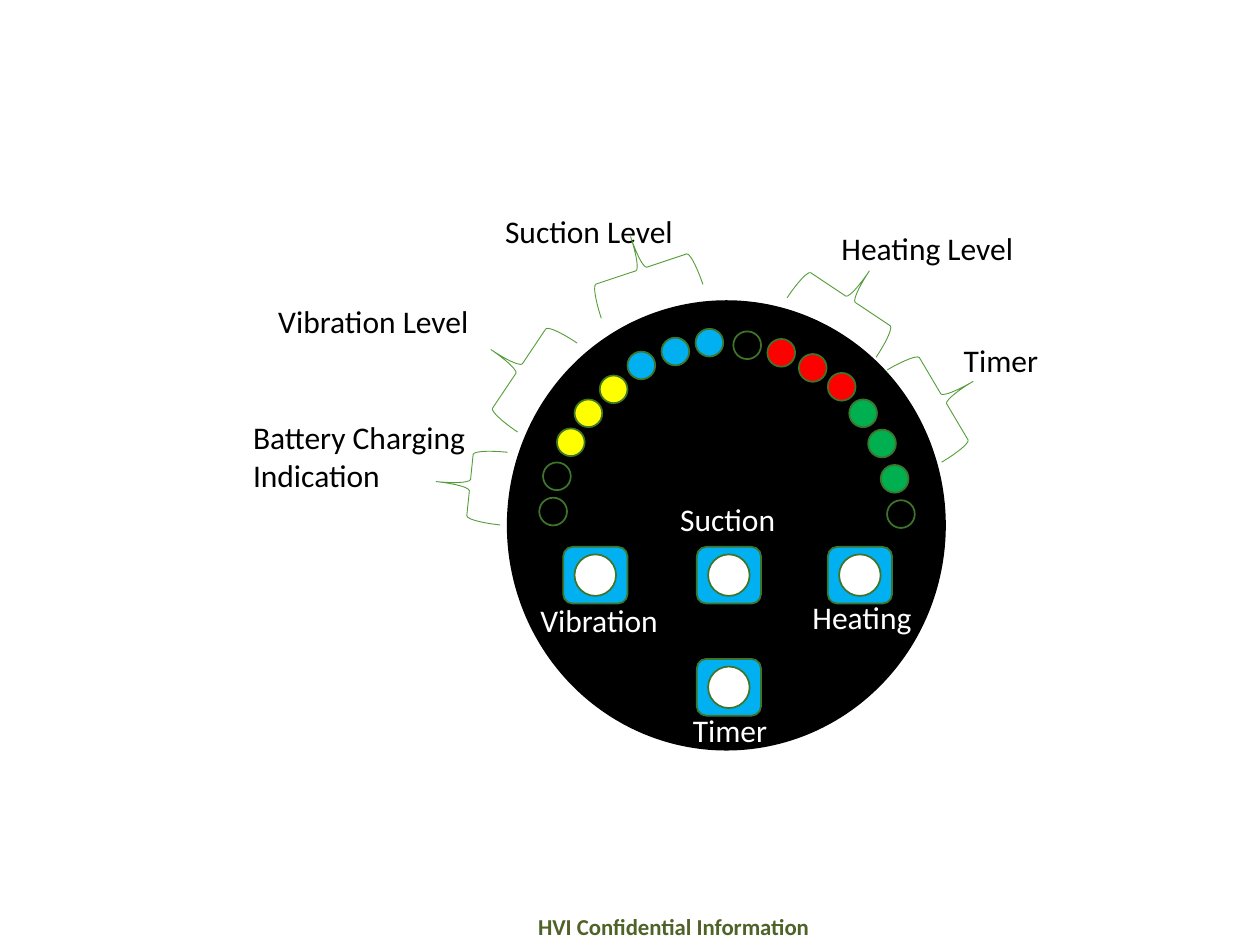
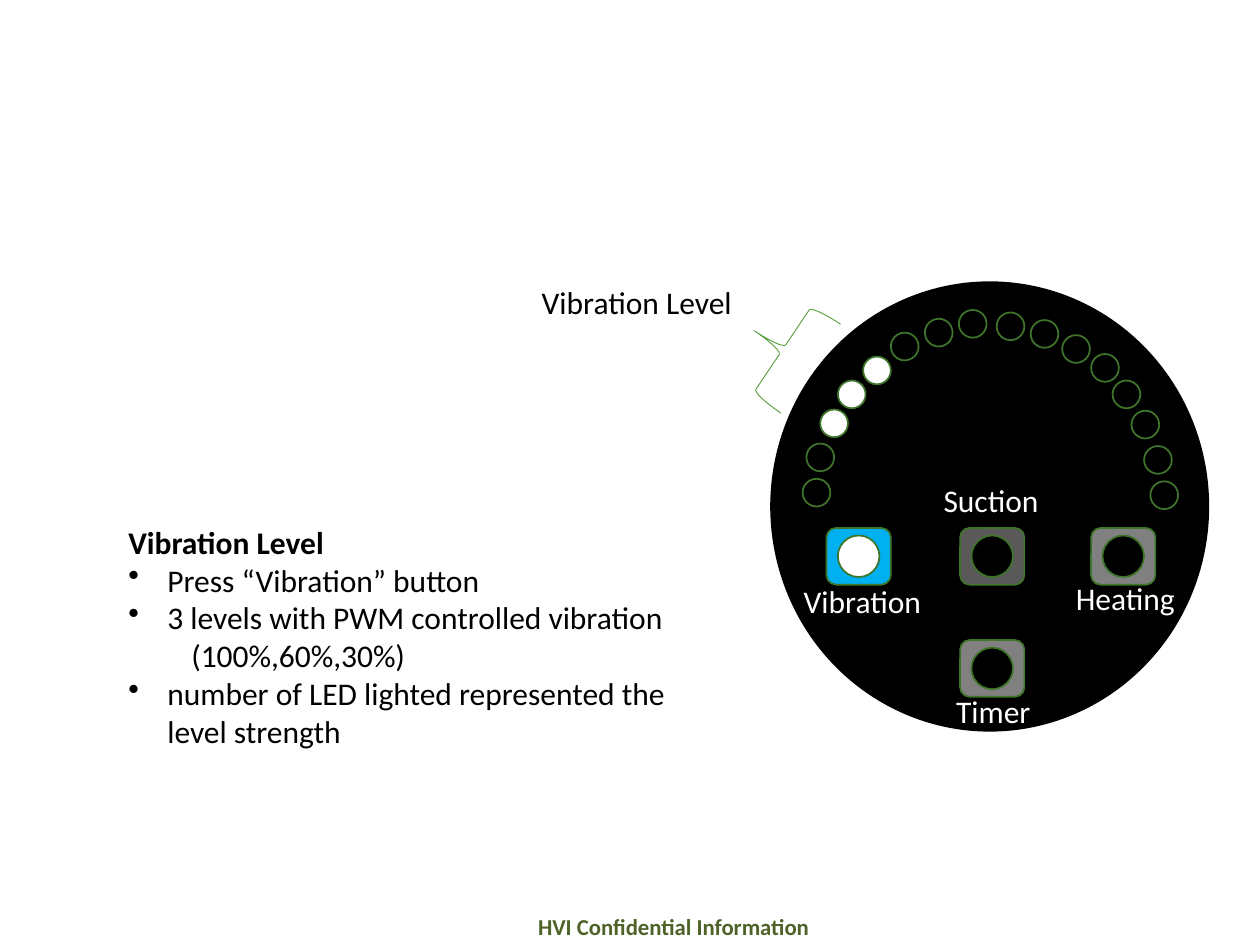
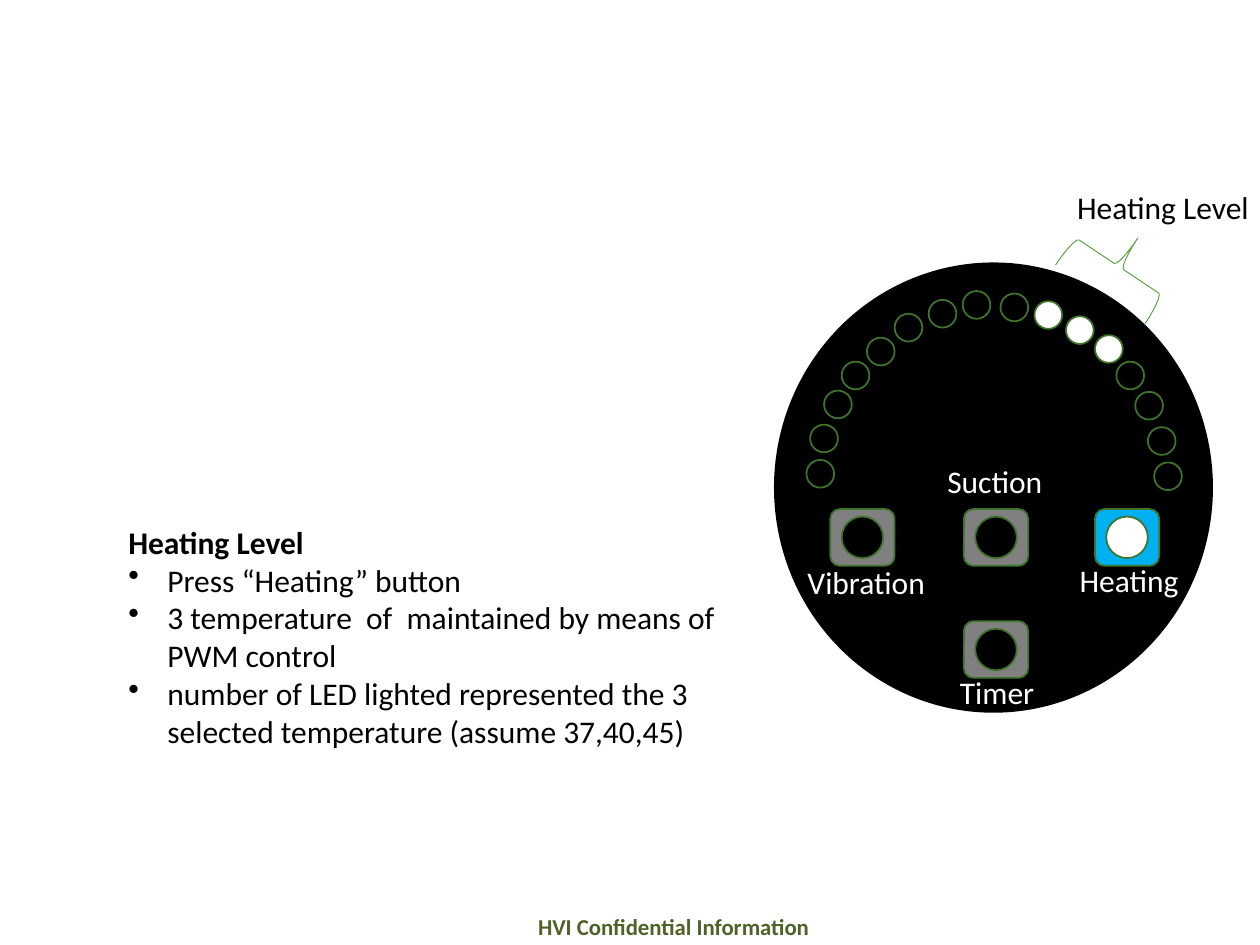
from pptx import Presentation
from pptx.dml.color import RGBColor
from pptx.enum import shapes, text
from pptx.oxml.ns import qn
from pptx.util import Inches, Pt

# Shared style
FONT = "Calibri"
BLACK, WHITE, BLUE, GREY, DARK = "000000", "FFFFFF", "00B0F0", "808080", "595959"
YELLOW, RED, GREEN = "FFFF00", "FF0000", "00B050"
RIM, BRACE, FOOT = "3E752A", "549E39", "4F6228"
FOOTER = "HVI Confidential Information"

# Panel parts, measured from the panel's top left corner
LEDS = [(0.25, 1.56), (0.28, 1.28), (0.39, 1.01), (0.53, 0.78),
        (0.73, 0.59), (0.95, 0.4), (1.22, 0.29), (1.49, 0.22),
        (1.79, 0.24), (2.06, 0.3), (2.31, 0.42), (2.54, 0.57),
        (2.71, 0.78), (2.86, 1.02), (2.96, 1.3), (3.01, 1.58)]
ZONES = {"vibration": (2, 3, 4), "suction": (5, 6, 7),
         "heating": (9, 10, 11), "timer": (12, 13, 14)}
# name, button place, label place
KEYS = [("Vibration", (0.44, 1.95), (0.16, 2.33)),
        ("Suction", (1.5, 1.95), (1.27, 1.53)),
        ("Heating", (2.54, 1.95), (2.32, 2.31)),
        ("Timer", (1.5, 2.84), (1.37, 3.2))]

# Callouts: label width and height, brace height and turn
CALLS = {"Battery Charging Indication": (2.05, 1.1, 0.58, 185.9),
         "Vibration Level": (1.92, 0.44, 0.85, 213.9),
         "Suction Level": (1.92, 0.44, 0.85, 251.6),
         "Heating Level": (1.92, 0.44, 0.85, 303.7),
         "Timer": (1.92, 0.44, 0.85, 329.4)}

# Slides: callouts give label place and brace place; notes give indent kind
SLIDES = [
    dict(at=(4.03, 2.39),
         lit=dict(vibration=YELLOW, suction=BLUE, heating=RED, timer=GREEN),
         keys=[BLUE] * 4,
         calls=[("Battery Charging Indication", (1.91, 3.27), (3.46, 3.56)),
                ("Vibration Level", (2.11, 2.35), (3.85, 2.5)),
                ("Suction Level", (3.91, 1.63), (4.82, 1.71)),
                ("Heating Level", (6.58, 1.77), (6.48, 1.95)),
                ("Timer", (7.55, 2.66), (7.22, 2.74))],
         body=[]),
    dict(at=(6.12, 2.24), lit=dict(vibration=WHITE),
         keys=[BLUE, DARK, GREY, GREY],
         calls=[("Vibration Level", (4.2, 2.2), (5.94, 2.35))],
         body=[("head", "Vibration Level"),
               ("item", "Press “Vibration” button"),
               ("item", "3 levels with PWM controlled vibration"),
               ("sub", "(100%,60%,30%)"),
               ("item", "number of LED lighted represented the level strength")]),
    dict(at=(6.15, 2.09), lit=dict(heating=WHITE),
         keys=[GREY, GREY, BLUE, GREY],
         calls=[("Heating Level", (8.45, 1.44), (8.61, 1.69))],
         body=[("head", "Heating Level"),
               ("item", "Press “Heating” button"),
               ("item", "3 temperature  of  maintained by means of PWM control"),
               ("item", "number of LED lighted represented the 3 selected "
                        "temperature (assume 37,40,45)")]),
]


def rgb(code):
    return RGBColor.from_string(code)


def draw(slide, kind, x, y, w, h, fill=None, line=RIM, width=1):
    shape = slide.shapes.add_shape(kind, *map(Inches, (x, y, w, h)))
    shape.shadow.inherit = False
    if fill:
        shape.fill.solid()
        shape.fill.fore_color.rgb = rgb(fill)
    else:
        shape.fill.background()
    shape.line.color.rgb = rgb(line)
    shape.line.width = Pt(width)
    return shape


def oval(slide, x, y, w, h, fill, line=RIM):
    draw(slide, shapes.MSO_SHAPE.OVAL, x, y, w, h, fill, line)


def style(para, words, color=BLACK, size=18, bold=False):
    para.text = words
    font = para.font
    font.name, font.size, font.bold = FONT, Pt(size), bold
    font.color.rgb = rgb(color)


def write(slide, words, x, y, w, h, color=BLACK, **look):
    frame = slide.shapes.add_textbox(*map(Inches, (x, y, w, h))).text_frame
    frame.word_wrap = True
    style(frame.paragraphs[0], words, color, **look)
    return frame


def indent(para, left, mark=None):
    props = para._p.get_or_add_pPr()
    props.set("marL", str(Inches(left)))
    props.set("indent", str(-Inches(left) if mark else 0))
    if mark:
        props.makeelement(qn("a:buFont"), {})
        bullet = props.makeelement(qn("a:buChar"), {"char": mark})
        props.insert_element_before(bullet, "a:tabLst", "a:defRPr", "a:extLst")


def panel(slide, at, lit, keys):
    left, top = at
    oval(slide, left, top, 3.47, 3.56, BLACK, BLACK)
    # Lights along the arc; those outside every zone stay hollow
    fills = {i: lit.get(zone, BLACK) for zone, row in ZONES.items() for i in row}
    for i, (x, y) in enumerate(LEDS):
        oval(slide, left + x, top + y, 0.22, 0.22, fills.get(i))
    # Buttons with their caps and names
    for (name, (x, y), (tx, ty)), color in zip(KEYS, keys):
        x, y = left + x, top + y
        draw(slide, shapes.MSO_SHAPE.ROUNDED_RECTANGLE, x, y, 0.51, 0.45, color)
        oval(slide, x + 0.09, y + 0.06, 0.33, 0.33,
             WHITE if color == BLUE else BLACK)
        write(slide, name, left + tx, top + ty, 1.26, 0.4, WHITE)


def callout(slide, name, label, brace):
    w, h, tall, turn = CALLS[name]
    write(slide, name, *label, w, h)
    shape = draw(slide, shapes.MSO_SHAPE.RIGHT_BRACE, *brace, 0.54, tall,
                 line=BRACE, width=0.5)
    shape.rotation = turn


def notes(slide, body):
    (_, head), *rest = body
    frame = write(slide, head, 0.92, 4.1, 4.86, 2.22, bold=True)
    for kind, words in rest:
        para = frame.add_paragraph()
        style(para, words)
        if kind == "item":
            indent(para, 0.31, "•")
        else:
            indent(para, 0.5)


def footer(slide):
    frame = write(slide, FOOTER, 4.23, 7.2, 2.25, 0.3, FOOT, size=13, bold=True)
    frame.word_wrap = False
    frame.vertical_anchor = text.MSO_ANCHOR.MIDDLE
    frame.margin_left = frame.margin_right = Inches(0.04)
    frame.margin_top = frame.margin_bottom = Inches(0.04)


def main():
    deck = Presentation()
    deck.slide_width, deck.slide_height = Inches(10), Inches(7.5)
    for data in SLIDES:
        slide = deck.slides.add_slide(deck.slide_layouts[6])
        footer(slide)
        panel(slide, data["at"], data["lit"], data["keys"])
        for call in data["calls"]:
            callout(slide, *call)
        if data["body"]:
            notes(slide, data["body"])
    deck.save("out.pptx")


if __name__ == "__main__":
    main()
